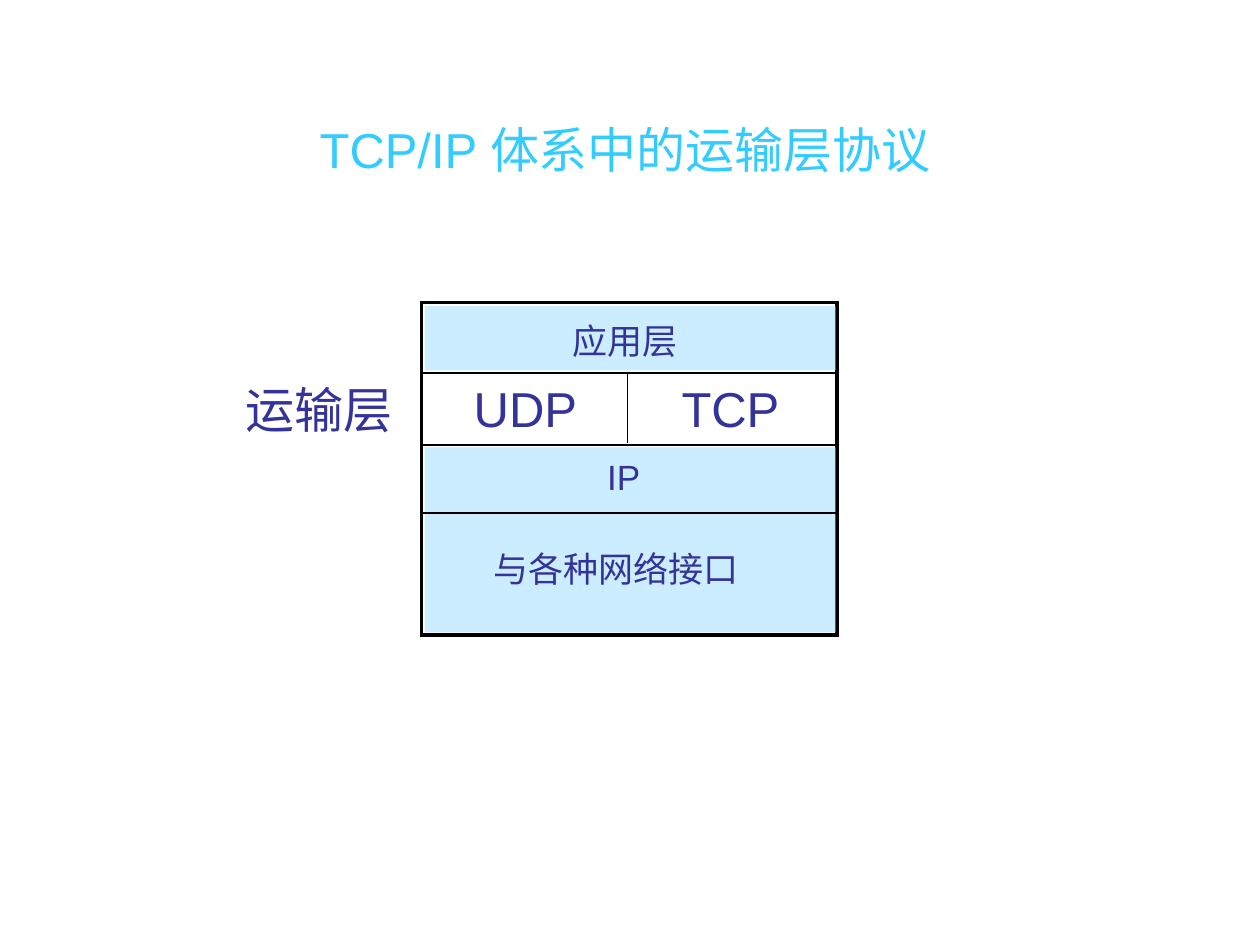
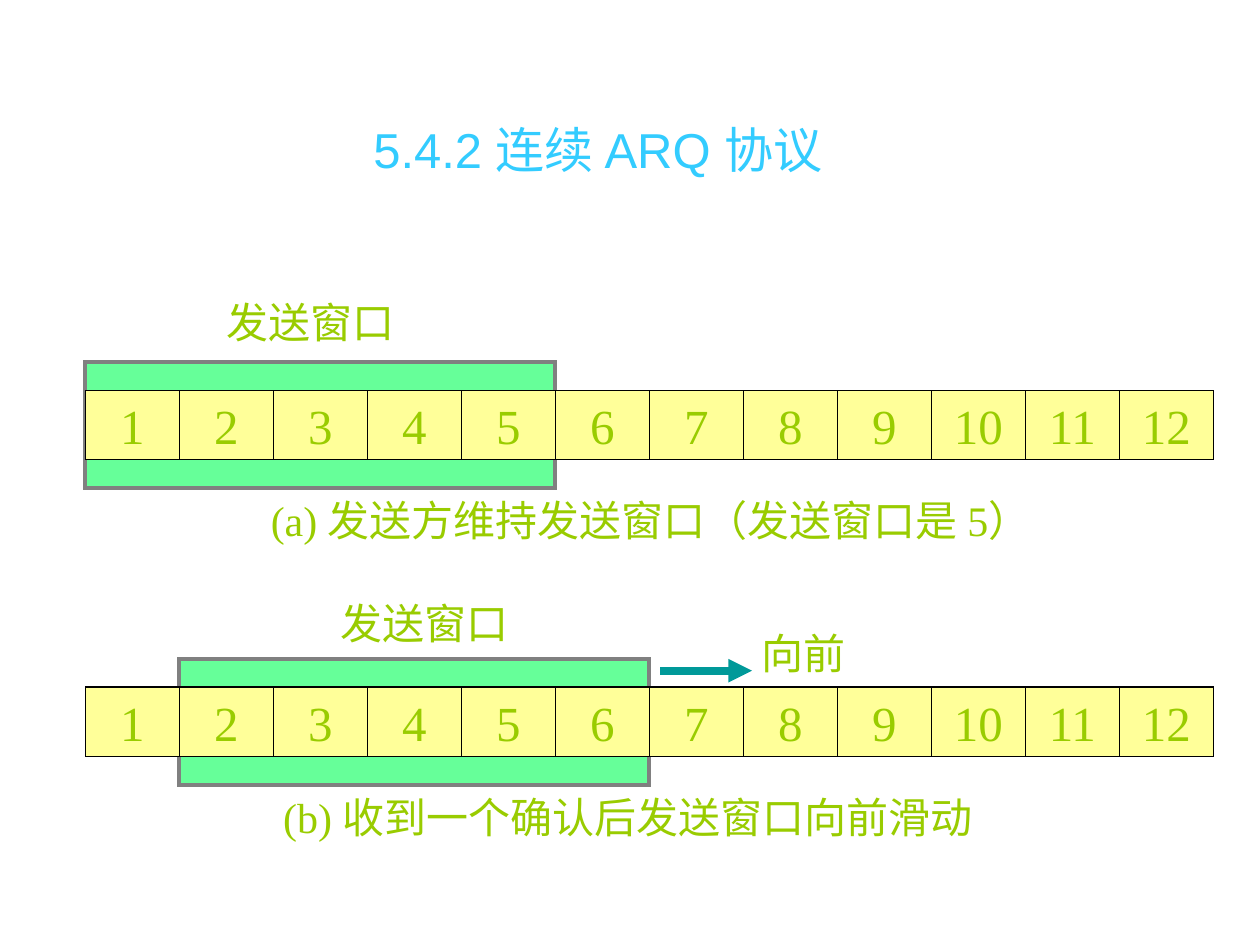
"""Build two slides on transport-layer protocols and the sliding send window."""
from dataclasses import dataclass
from typing import Optional

from lxml import etree
from pptx import Presentation
from pptx import util as u
from pptx.dml.color import RGBColor
from pptx.enum import shapes, text
from pptx.oxml import ns

WHITE = RGBColor(0xFF, 0xFF, 0xFF)
BLACK = RGBColor(0x00, 0x00, 0x00)
GRAY = RGBColor(0x80, 0x80, 0x80)
TITLE_CYAN = RGBColor(0x33, 0xCC, 0xFF)
NAVY = RGBColor(0x33, 0x33, 0x99)
PALE_BLUE = RGBColor(0xCC, 0xEC, 0xFF)
WINDOW_GREEN = RGBColor(0x66, 0xFF, 0x99)
FRAME_YELLOW = RGBColor(0xFF, 0xFF, 0x99)
LIME = RGBColor(0x99, 0xCC, 0x00)
TEAL = RGBColor(0x00, 0x99, 0x99)

SANS, SERIF, GROTESQUE = "Arial", "Times New Roman", "Karla"
LABEL_HEIGHT = {20: 1.1, 24: 1.27, 28: 1.43}

FRAME_COUNT, WINDOW_SIZE = 12, 5
STRIP_LEFT, STRIP_HEIGHT = 1.72, 1.4
CELL_WIDTH = 22.74 / FRAME_COUNT
WINDOW_HEIGHT = 2.54
WINDOW_OVERHANG = (WINDOW_HEIGHT - STRIP_HEIGHT) / 2


@dataclass(frozen=True)
class Box:
    """A filled rectangle, in centimetres, with an optional outline."""
    left: float
    top: float
    width: float
    height: float
    fill: RGBColor
    outline: Optional[RGBColor] = None
    weight: float = 1


@dataclass(frozen=True)
class Rule:
    """A straight line, in centimetres."""
    x1: float
    y1: float
    x2: float
    y2: float
    color: RGBColor = BLACK
    weight: float = 1


@dataclass(frozen=True)
class Label:
    """A one-line caption, in centimetres."""
    wording: str
    left: float
    top: float
    width: float
    size: int = 24
    font: str = SERIF
    color: RGBColor = LIME
    fill: Optional[RGBColor] = None
    centered: bool = False


@dataclass(frozen=True)
class Stage:
    """One state of the send window over the numbered frames."""
    top: float
    first_in_window: int
    window_label: Label
    caption: Label


STACK_BOXES = (
    Box(8.5, 6.1, 8.38, 6.7, WHITE, BLACK, 2),
    Box(8.56, 6.17, 8.28, 1.3, PALE_BLUE),
    Box(8.56, 9.02, 8.28, 3.73, PALE_BLUE),
)
STACK_RULES = tuple(Rule(8.5, y, 16.88, y) for y in (7.52, 8.97, 10.34)) + (
    Rule(12.65, 7.54, 12.65, 8.94),
)
STACK_LABELS = (
    Label("TCP", 13.49, 7.5, 2.49, 28, SANS, NAVY),
    Label("UDP", 9.3, 7.5, 2.59, 28, SANS, NAVY),
    Label("IP", 11.99, 9.05, 1.17, 20, SANS, NAVY, PALE_BLUE),
    Label("应用层", 11.3, 6.32, 2.7, 20, SANS, NAVY),
    Label("与各种网络接口", 9.7, 10.92, 6.4, 20, SANS, NAVY),
    Label("运输层", 4.7, 7.52, 3.65, 28, GROTESQUE, NAVY),
)

STAGES = (
    Stage(7.87, 1, Label("发送窗口", 4.32, 5.85, 4.1),
          Label("(a) 发送方维持发送窗口（发送窗口是 5）", 5.21, 9.84, 16.6)),
    Stage(13.85, 2, Label("发送窗口", 6.61, 11.92, 4.1),
          Label("(b) 收到一个确认后发送窗口向前滑动", 5.46, 15.83, 14.8)),
)
ADVANCE_ARROW = Rule(13.31, 13.52, 15.16, 13.52, TEAL, 4.5)
ADVANCE_LABEL = Label("向前", 15.11, 12.52, 2.5)


def style_runs(paragraph, size: int, font: str, color: RGBColor) -> None:
    """Format every run of a paragraph."""
    for run in paragraph.runs:
        run.font.size = u.Pt(size)
        run.font.name = font
        run.font.color.rgb = color


def add_titled_slide(deck, wording: str, width: float):
    """Add a title-only slide with its title set and placed."""
    slide = deck.slides.add_slide(deck.slide_layouts[5])
    title = slide.shapes.title
    title.left, title.top = u.Cm(1.3), u.Cm(2.11)
    title.width, title.height = u.Cm(width), u.Cm(1.78)
    title.text_frame.text = wording
    title.text_frame.vertical_anchor = text.MSO_ANCHOR.MIDDLE
    heading = title.text_frame.paragraphs[0]
    heading.alignment = text.PP_ALIGN.CENTER
    style_runs(heading, 28, SANS, TITLE_CYAN)
    return slide


def draw_box(slide, box: Box):
    """Draw a rectangle with square corners and return it."""
    rectangle = slide.shapes.add_shape(
        shapes.MSO_SHAPE.RECTANGLE,
        u.Cm(box.left), u.Cm(box.top), u.Cm(box.width), u.Cm(box.height))
    rectangle.shadow.inherit = False
    rectangle.fill.solid()
    rectangle.fill.fore_color.rgb = box.fill
    if box.outline is None:
        rectangle.line.fill.background()
    else:
        rectangle.line.color.rgb = box.outline
        rectangle.line.width = u.Pt(box.weight)
        outline = rectangle._element.spPr.find(ns.qn("a:ln"))
        etree.SubElement(outline, ns.qn("a:miter"), lim="800000")
    return rectangle


def draw_rule(slide, rule: Rule, arrow: bool = False):
    """Draw a straight line, with an arrowhead at its end on request."""
    line = slide.shapes.add_connector(
        shapes.MSO_CONNECTOR.STRAIGHT,
        u.Cm(rule.x1), u.Cm(rule.y1), u.Cm(rule.x2), u.Cm(rule.y2))
    line.line.color.rgb = rule.color
    line.line.width = u.Pt(rule.weight)
    properties = line._element.spPr
    if arrow:
        etree.SubElement(properties.find(ns.qn("a:ln")), ns.qn("a:tailEnd"), type="triangle")
    etree.SubElement(properties, ns.qn("a:effectLst"))
    return line


def draw_label(slide, label: Label) -> None:
    """Draw a caption that stays on one line."""
    height = STRIP_HEIGHT if label.centered else LABEL_HEIGHT[label.size]
    caption = slide.shapes.add_textbox(
        u.Cm(label.left), u.Cm(label.top), u.Cm(label.width), u.Cm(height))
    frame = caption.text_frame
    frame.text = label.wording
    frame.word_wrap = False
    if label.fill is not None:
        caption.fill.solid()
        caption.fill.fore_color.rgb = label.fill
    if label.centered:
        frame.vertical_anchor = text.MSO_ANCHOR.MIDDLE
        frame.paragraphs[0].alignment = text.PP_ALIGN.CENTER
    else:
        frame.auto_size = text.MSO_AUTO_SIZE.SHAPE_TO_FIT_TEXT
    style_runs(frame.paragraphs[0], label.size, label.font, label.color)


def draw_stage(slide, stage: Stage) -> None:
    """Draw the send window, the numbered frames over it and the captions."""
    window_left = STRIP_LEFT + (stage.first_in_window - 1) * CELL_WIDTH
    draw_box(slide, Box(window_left, stage.top - WINDOW_OVERHANG,
                        WINDOW_SIZE * CELL_WIDTH, WINDOW_HEIGHT, WINDOW_GREEN, GRAY, 2.25))
    strip = draw_box(slide, Box(STRIP_LEFT, stage.top, FRAME_COUNT * CELL_WIDTH,
                                STRIP_HEIGHT, FRAME_YELLOW, BLACK, 0.75))
    for index in range(FRAME_COUNT):
        x = STRIP_LEFT + index * CELL_WIDTH
        draw_label(slide, Label(str(index + 1), x, stage.top, CELL_WIDTH, 28, centered=True))
        if index == 0:
            continue
        divider = draw_rule(slide, Rule(x, stage.top, x, stage.top + STRIP_HEIGHT, weight=0.75))
        if 2 * index == FRAME_COUNT:
            divider.begin_connect(strip, 0)
            divider.end_connect(strip, 2)
    draw_label(slide, stage.window_label)
    draw_label(slide, stage.caption)


def build_protocol_stack(deck) -> None:
    """Build the slide that places UDP and TCP in the layer stack."""
    slide = add_titled_slide(deck, "TCP/IP 体系中的运输层协议", 22.6)
    for box in STACK_BOXES:
        draw_box(slide, box)
    for rule in STACK_RULES:
        draw_rule(slide, rule)
    for label in STACK_LABELS:
        draw_label(slide, label)


def build_sliding_window(deck) -> None:
    """Build the slide that shows the send window moving forward."""
    slide = add_titled_slide(deck, "5.4.2 连续 ARQ 协议", 21.5)
    for stage in STAGES:
        draw_stage(slide, stage)
    draw_rule(slide, ADVANCE_ARROW, arrow=True)
    draw_label(slide, ADVANCE_LABEL)


def main() -> None:
    """Build and save the presentation."""
    deck = Presentation()
    deck.slide_width, deck.slide_height = u.Cm(25.4), u.Cm(19.05)
    build_protocol_stack(deck)
    build_sliding_window(deck)
    deck.save("out.pptx")


if __name__ == "__main__":
    main()
